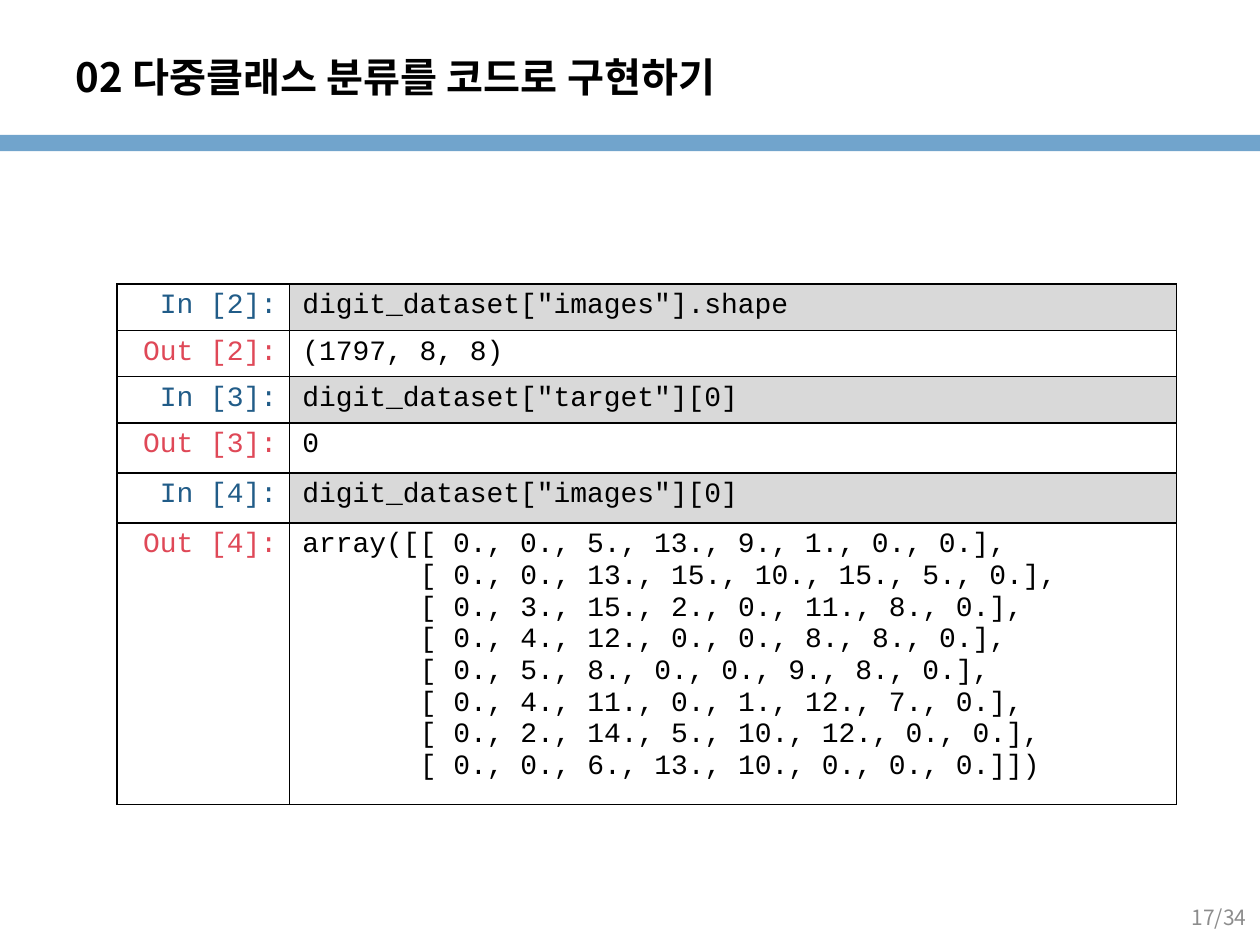
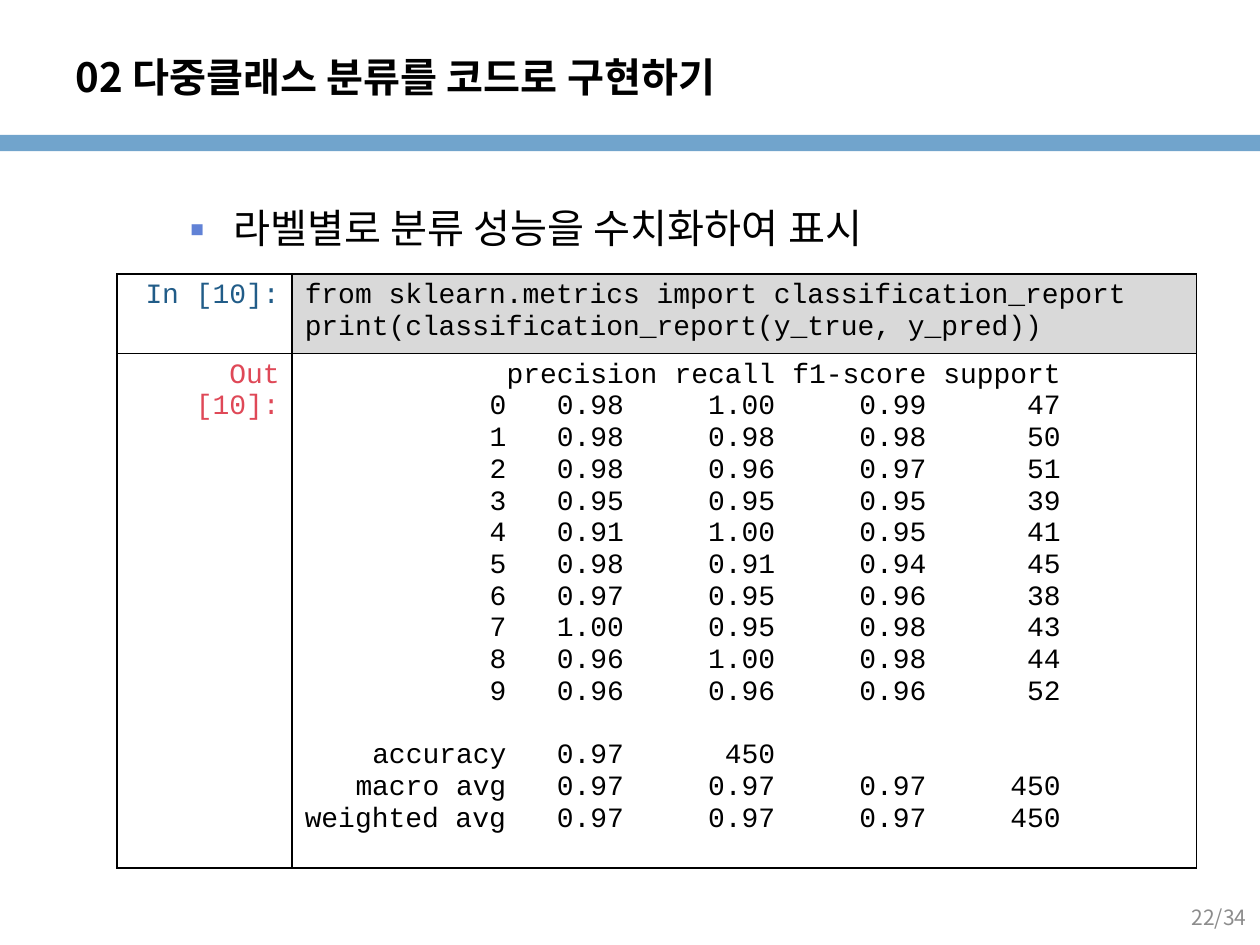
from dataclasses import dataclass

from lxml.etree import SubElement
from pptx import Presentation
from pptx.dml.color import RGBColor
from pptx.enum.shapes import MSO_SHAPE
from pptx.enum.text import MSO_ANCHOR, MSO_AUTO_SIZE, PP_ALIGN
from pptx.oxml import parse_xml
from pptx.oxml.ns import nsdecls, qn
from pptx.util import Cm, Pt


@dataclass(frozen=True)
class Theme:
    band: str = "71A4CC"
    ink: str = "000000"
    paper: str = "FFFFFF"
    page: str = "8C8C8C"
    bullet: str = "6182D6"
    prompt_in: str = "215C88"
    prompt_out: str = "DF4857"
    code_fill: str = "D9D9D9"
    heading_font: str = "Noto Sans CJK KR"
    body_font: str = "Calibri"
    code_font: str = "Courier New"
    heading_size: int = 23
    code_size: int = 16
    page_size: int = 12


@dataclass(frozen=True)
class Box:
    left: float
    top: float
    width: float
    height: float

    def lengths(self):
        return Cm(self.left), Cm(self.top), Cm(self.width), Cm(self.height)


@dataclass(frozen=True)
class Line:
    text: str
    indent: int = 0
    stops: tuple = ()
    space_before: float = 0


THEME = Theme()
CHAR = THEME.code_size * 0.6
CODE_LINE = 18.1
BAND = Box(0, 2.72, 25.4, 0.33)
TITLE = Box(1.27, 0.76, 19.89, 1.57)
BODY = Box(1.27, 3.73, 22.86, 14.33)
PAGE = Box(19.46, 17.98, 5.92, 1.02)
HEADING = "02 다중클래스 분류를 코드로 구현하기"
PAGE_COUNT = 34
LABEL_STOP = 12
VALUE_STOPS = (19, 28, 37, 45)
HEADER_STOPS = (21, 28, 37, 45)

DIGIT_ROWS = [
    "[ 0., 0., 5., 13., 9., 1., 0., 0.]",
    "[ 0., 0., 13., 15., 10., 15., 5., 0.]",
    "[ 0., 3., 15., 2., 0., 11., 8., 0.]",
    "[ 0., 4., 12., 0., 0., 8., 8., 0.]",
    "[ 0., 5., 8., 0., 0., 9., 8., 0.]",
    "[ 0., 4., 11., 0., 1., 12., 7., 0.]",
    "[ 0., 2., 14., 5., 10., 12., 0., 0.]",
    "[ 0., 0., 6., 13., 10., 0., 0., 0.]",
]
REPORT_HEADER = ("precision", "recall", "f1-score", "support")
REPORT_ROWS = [
    ("0", "0.98", "1.00", "0.99", "47"),
    ("1", "0.98", "0.98", "0.98", "50"),
    ("2", "0.98", "0.96", "0.97", "51"),
    ("3", "0.95", "0.95", "0.95", "39"),
    ("4", "0.91", "1.00", "0.95", "41"),
    ("5", "0.98", "0.91", "0.94", "45"),
    ("6", "0.97", "0.95", "0.96", "38"),
    ("7", "1.00", "0.95", "0.98", "43"),
    ("8", "0.96", "1.00", "0.98", "44"),
    ("9", "0.96", "0.96", "0.96", "52"),
    ("accuracy", "0.97", "450"),
    ("macro avg", "0.97", "0.97", "0.97", "450"),
    ("weighted avg", "0.97", "0.97", "0.97", "450"),
]


def style(paragraph, font, size, color, bold=False, align=PP_ALIGN.LEFT):
    paragraph.alignment = align
    paragraph.font.name = font
    paragraph.font.size = Pt(size)
    paragraph.font.bold = bold
    paragraph.font.color.rgb = RGBColor.from_string(color)
    SubElement(paragraph.font._element, qn("a:ea"), typeface=THEME.heading_font)


def place(shape, box):
    shape.left, shape.top, shape.width, shape.height = box.lengths()


def add_band(prs, slide, box):
    band = slide.shapes.add_shape(MSO_SHAPE.RECTANGLE, *box.lengths())
    band.shadow.inherit = False
    band.fill.solid()
    band.fill.fore_color.rgb = RGBColor.from_string(THEME.band)
    band.line.fill.background()
    prs.slide_master.shapes._spTree.append(band._element)


def add_title(slide, box):
    title = slide.shapes.title
    place(title, box)
    title.text = HEADING
    title.text_frame.auto_size = MSO_AUTO_SIZE.NONE
    title.text_frame.vertical_anchor = MSO_ANCHOR.MIDDLE
    style(title.text_frame.paragraphs[0], THEME.heading_font,
          THEME.heading_size, THEME.ink, bold=True)


def add_page_number(slide, box, number):
    frame = slide.shapes.add_textbox(*box.lengths()).text_frame
    frame.word_wrap = True
    frame.vertical_anchor = MSO_ANCHOR.MIDDLE
    frame.text = f"{number}/{PAGE_COUNT}"
    style(frame.paragraphs[0], THEME.heading_font, THEME.page_size,
          THEME.page, align=PP_ALIGN.RIGHT)


def add_bullet(slide, box, text):
    body = slide.placeholders[1]
    place(body, box)
    body.text = text
    body.text_frame.auto_size = MSO_AUTO_SIZE.NONE
    point = body.text_frame.paragraphs[0]
    point.level = 1
    point.line_spacing = 1.25
    point.space_before = Pt(THEME.heading_size * 0.2)
    props = point._p.get_or_add_pPr()
    props.set("marL", str(Cm(3.18)))
    props.set("indent", str(Cm(-1.12)))
    color = SubElement(props, qn("a:buClr"))
    SubElement(color, qn("a:srgbClr"), val=THEME.bullet)
    SubElement(props, qn("a:buFont"), typeface=THEME.heading_font)
    SubElement(props, qn("a:buChar"), char="▪")
    style(point, THEME.body_font, THEME.heading_size, THEME.ink)


def add_borders(cell):
    props = cell._tc.get_or_add_tcPr()
    for index, side in enumerate("LRTB"):
        props.insert(index, parse_xml(
            f'<a:ln{side} {nsdecls("a")} w="{Pt(1)}"><a:solidFill>'
            f'<a:srgbClr val="{THEME.ink}"/></a:solidFill></a:ln{side}>'))


def fill_cell(cell, lines, color, background, align=PP_ALIGN.LEFT):
    cell.fill.solid()
    cell.fill.fore_color.rgb = RGBColor.from_string(background)
    add_borders(cell)
    frame = cell.text_frame
    frame.text = "\n".join(line.text for line in lines)
    for paragraph, line in zip(frame.paragraphs, lines):
        props = paragraph._p.get_or_add_pPr()
        if line.space_before:
            paragraph.space_before = Pt(line.space_before)
        if line.indent:
            props.set("marL", str(Pt(line.indent * CHAR)))
            props.set("indent", "0")
        if line.stops:
            tabs = SubElement(props, qn("a:tabLst"))
            for stop in line.stops:
                SubElement(tabs, qn("a:tab"), pos=str(Pt(stop * CHAR)), algn="r")
        style(paragraph, THEME.code_font, THEME.code_size, color, align=align)


def add_notebook(slide, box, prompt_width, cells, heights):
    table = slide.shapes.add_table(len(cells), 2, *box.lengths()).table
    table.first_row = table.horz_banding = False
    table.columns[0].width = Cm(prompt_width)
    table.columns[1].width = Cm(box.width - prompt_width)
    for index, ((prompt, lines), height) in enumerate(zip(cells, heights)):
        table.rows[index].height = Cm(height)
        is_input = prompt.startswith("In")
        fill_cell(table.cell(index, 0), [Line(prompt)],
                  THEME.prompt_in if is_input else THEME.prompt_out,
                  THEME.paper, PP_ALIGN.RIGHT)
        fill_cell(table.cell(index, 1), lines, THEME.ink,
                  THEME.code_fill if is_input else THEME.paper)


def digit_lines():
    first, *middle, last = DIGIT_ROWS
    return [Line(f"array([{first},"),
            *(Line(f"{row},", indent=7) for row in middle),
            Line(f"{last}])", indent=7)]


def report_line(row):
    fields, stops = "\t".join(row), VALUE_STOPS
    if len(row[0]) < LABEL_STOP:
        fields, stops = "\t" + fields, (LABEL_STOP, *VALUE_STOPS)
    gap = CODE_LINE if row[0] == "accuracy" else 0
    return Line(fields, stops=stops, space_before=gap)


def report_lines():
    header = Line("\t" + "\t".join(REPORT_HEADER), stops=HEADER_STOPS)
    return [header, *map(report_line, REPORT_ROWS)]


def add_slide(prs, layout, number):
    slide = prs.slides.add_slide(prs.slide_layouts[layout])
    add_title(slide, TITLE)
    add_page_number(slide, PAGE, number)
    return slide


def dataset_slide(prs):
    slide = add_slide(prs, 5, 17)
    add_band(prs, slide, BAND)
    cells = [
        ("In [2]:", [Line('digit_dataset["images"].shape')]),
        ("Out [2]:", [Line("(1797, 8, 8)")]),
        ("In [3]:", [Line('digit_dataset["target"][0]')]),
        ("Out [3]:", [Line("0")]),
        ("In [4]:", [Line('digit_dataset["images"][0]')]),
        ("Out [4]:", digit_lines()),
    ]
    heights = [0.89] * 3 + [1.01] * 2 + [5.38]
    add_notebook(slide, Box(2.36, 5.73, 21.36, sum(heights)), 3.48, cells, heights)


def report_slide(prs):
    slide = add_slide(prs, 1, 22)
    add_bullet(slide, BODY, "라벨별로 분류 성능을 수치화하여 표시")
    cells = [
        ("In [10]:", [Line("from sklearn.metrics import classification_report"),
                      Line("print(classification_report(y_true, y_pred))")]),
        ("Out [10]:", report_lines()),
    ]
    heights = [1.53, 9.84]
    add_notebook(slide, Box(2.36, 5.52, 21.76, sum(heights)), 3.53, cells, heights)


def main():
    prs = Presentation()
    prs.slide_width, prs.slide_height = Cm(25.4), Cm(19.05)
    dataset_slide(prs)
    report_slide(prs)
    prs.save("out.pptx")


if __name__ == "__main__":
    main()
